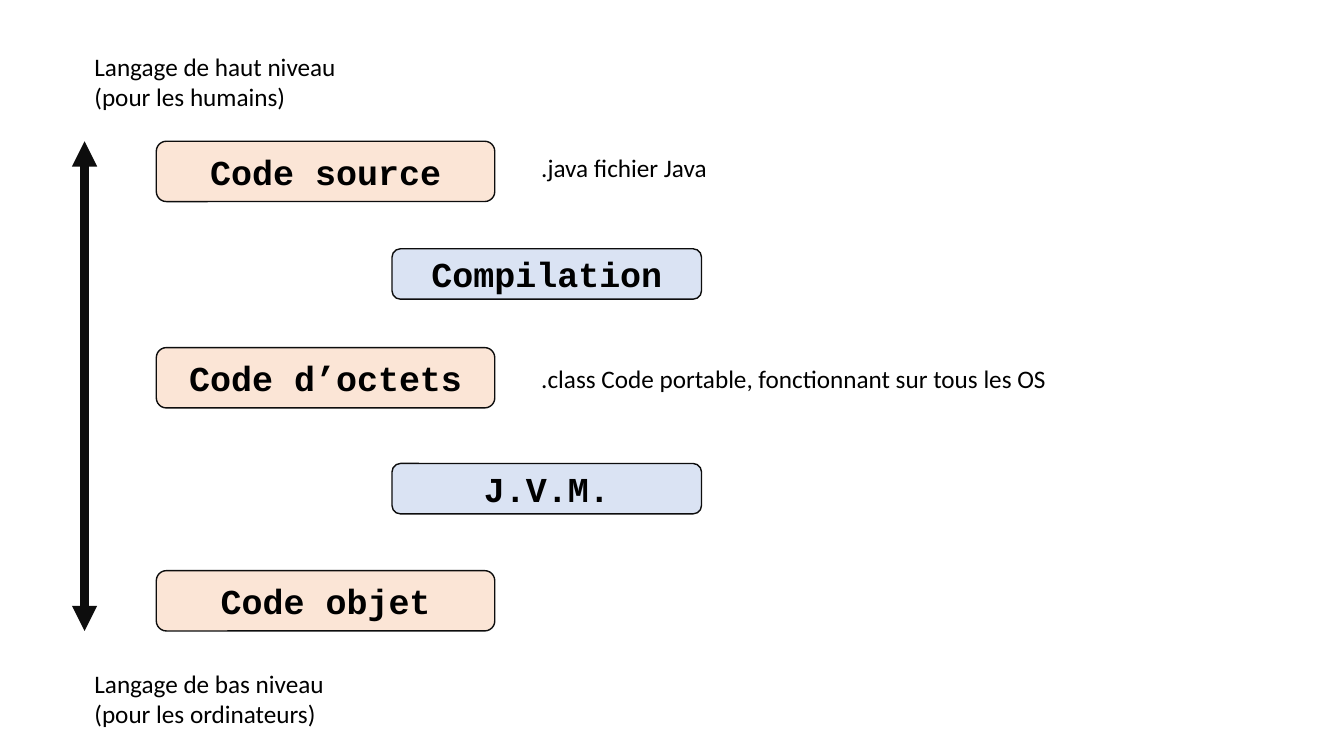
from lxml import etree
from pptx import Presentation
from pptx.dml.color import RGBColor
from pptx.enum import shapes, text
from pptx.oxml import ns
from pptx.util import Cm, Pt

BLACK = RGBColor(0x00, 0x00, 0x00)
OUTLINE = RGBColor(0x0D, 0x0D, 0x0D)
CODE_FILL = RGBColor(0xFB, 0xE5, 0xD6)
STEP_FILL = RGBColor(0xDA, 0xE3, 0xF3)

AXIS_X, AXIS_TOP, AXIS_BOTTOM = 2.13, 3.56, 15.9
NOTE_X = 13.39


def write(frame, content, font="Calibri", size=18, bold=False,
          align=text.PP_ALIGN.LEFT, anchor=text.MSO_ANCHOR.TOP):
    """Fill a text frame, one paragraph per line of content."""
    frame.text = content
    frame.vertical_anchor = anchor
    for paragraph in frame.paragraphs:
        paragraph.alignment = align
        paragraph.font.name = font
        paragraph.font.size = Pt(size)
        paragraph.font.bold = bold
        paragraph.font.color.rgb = BLACK


def add_box(slide, content, left, top, width, height, fill):
    box = slide.shapes.add_shape(shapes.MSO_SHAPE.ROUNDED_RECTANGLE,
                                 Cm(left), Cm(top), Cm(width), Cm(height))
    box.shadow.inherit = False
    box.fill.solid()
    box.fill.fore_color.rgb = fill
    box.line.color.rgb = OUTLINE
    box.line.width = Pt(1)
    write(box.text_frame, content, font="Courier New", size=25, bold=True,
          align=text.PP_ALIGN.CENTER, anchor=text.MSO_ANCHOR.MIDDLE)


def add_label(slide, content, left, top, width, height):
    label = slide.shapes.add_textbox(Cm(left), Cm(top), Cm(width), Cm(height))
    label.text_frame.word_wrap = False
    label.text_frame.auto_size = text.MSO_AUTO_SIZE.SHAPE_TO_FIT_TEXT
    write(label.text_frame, content)


def add_double_arrow(slide, x, top, bottom):
    arrow = slide.shapes.add_connector(shapes.MSO_CONNECTOR.STRAIGHT,
                                       Cm(x), Cm(top), Cm(x), Cm(bottom))
    arrow.line.color.rgb = OUTLINE
    arrow.line.width = Pt(6)
    line = arrow.line._get_or_add_ln()
    for end in ("a:headEnd", "a:tailEnd"):
        etree.SubElement(line, ns.qn(end), type="triangle")
    etree.SubElement(arrow._element.spPr, ns.qn("a:effectLst"))


def main():
    deck = Presentation()
    deck.slide_width, deck.slide_height = Cm(33.87), Cm(19.05)
    slide = deck.slides.add_slide(deck.slide_layouts[6])

    # Axis from high-level to low-level language
    add_double_arrow(slide, AXIS_X, AXIS_TOP, AXIS_BOTTOM)

    # Forms of the code
    for content, top in (("Code source", AXIS_TOP), ("Code d’octets", 8.76),
                         ("Code objet", 14.38)):
        add_box(slide, content, 3.94, top, 8.53, 1.52, CODE_FILL)

    # Steps between them
    for content, top in (("Compilation", 6.27), ("J.V.M.", 11.68)):
        add_box(slide, content, 9.88, top, 7.8, 1.27, STEP_FILL)

    # Ends of the axis
    add_label(slide, "Langage de haut niveau\n(pour les humains)",
              AXIS_X, 1.17, 6.68, 1.8)
    add_label(slide, "Langage de bas niveau\n(pour les ordinateurs)",
              AXIS_X, 16.71, 6.38, 1.8)

    # Notes on the file formats
    add_label(slide, ".java fichier Java", NOTE_X, 3.71, 4.72, 1.02)
    add_label(slide, ".class Code portable, fonctionnant sur tous les OS",
              NOTE_X, 9.02, 13.39, 1.02)

    deck.save("out.pptx")


main()
